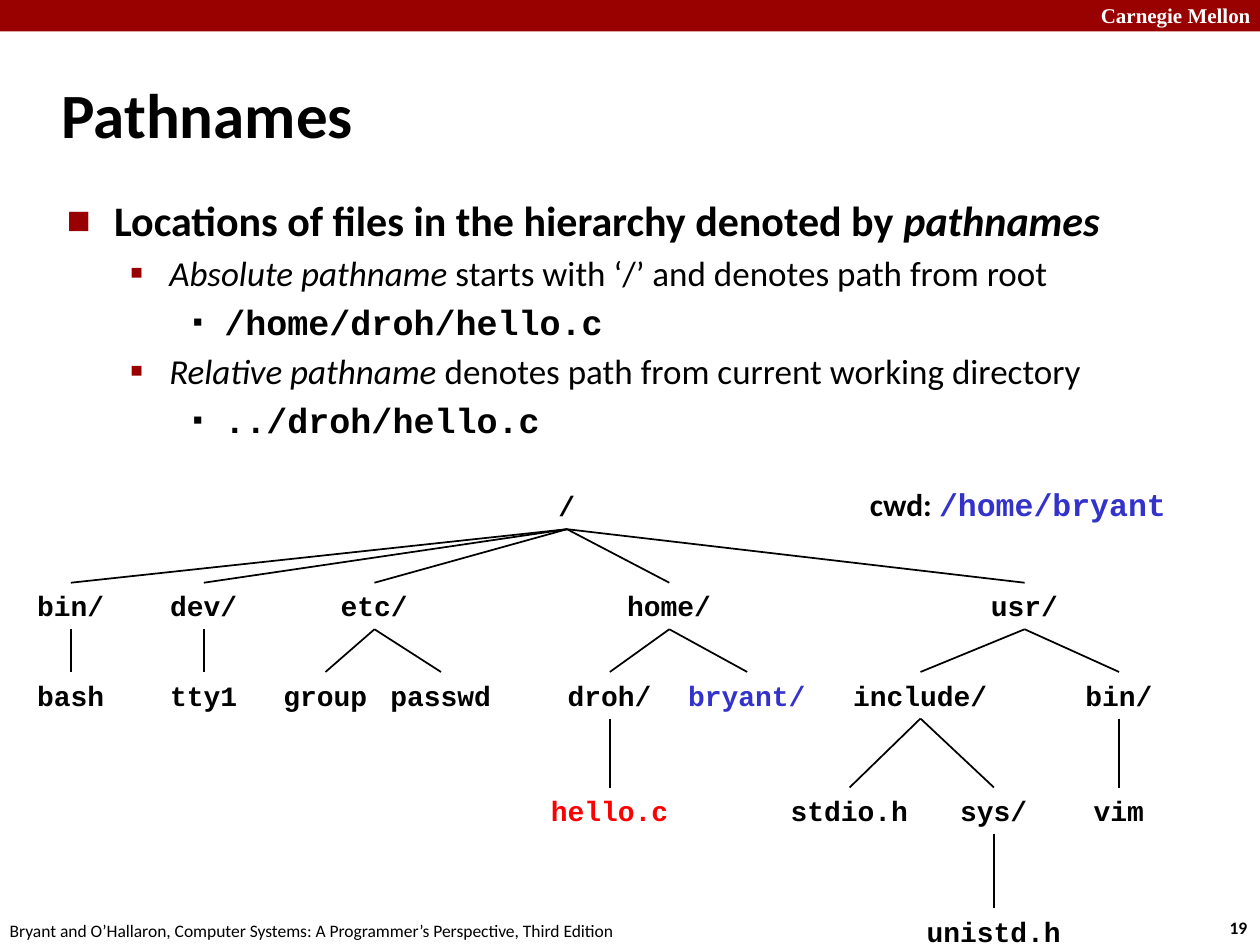
import pptx
import pptx.util
import pptx.dml.color
import pptx.enum.shapes
import pptx.enum.text
import pptx.oxml.ns
import lxml.etree

Pt = pptx.util.Pt
qn = pptx.oxml.ns.qn


def format_run(run, size, font, colour, bold=False, italic=False):
    run.font.size = Pt(size)
    run.font.name = font
    run.font.bold = bold
    run.font.italic = italic
    run.font.color.rgb = pptx.dml.color.RGBColor.from_string(colour)


def add_label(left, top, width, height, size, runs, bold=True):
    box = slide.shapes.add_textbox(Pt(left), Pt(top), Pt(width), Pt(height))
    box.text_frame.word_wrap = False
    for text, font, colour in runs:
        run = box.text_frame.paragraphs[0].add_run()
        run.text = text
        format_run(run, size, font, colour, bold)
    return box


presentation = pptx.Presentation()
presentation.slide_width = Pt(720)
presentation.slide_height = Pt(540)
slide = presentation.slides.add_slide(presentation.slide_layouts[1])

RED, BLUE, BLACK = "990000", "3333CC", "000000"
SANS, MONO = "Calibri", "Courier New"

bar = slide.shapes.add_shape(pptx.enum.shapes.MSO_SHAPE.RECTANGLE, 0, 0, Pt(720), Pt(18))
bar.shadow.inherit = False
bar.fill.solid()
bar.fill.fore_color.rgb = pptx.dml.color.RGBColor.from_string(RED)
bar.line.fill.background()

add_label(622, -2, 103, 21.6, 12, [("Carnegie Mellon", "Times New Roman", "FFFFFF")])
add_label(695.5, 520.5, 26.5, 19.5, 10, [("19", SANS, BLACK)])
footer = "Bryant and O’Hallaron, Computer Systems: A Programmer’s Perspective, Third Edition"
add_label(-1.5, 522, 366, 19.5, 10, [(footer, SANS, BLACK)], bold=False)

title = slide.shapes.title
title.left, title.top, title.width, title.height = Pt(28), Pt(34.5), Pt(598), Pt(60)
title.text_frame.text = "Pathnames"
title.text_frame.vertical_anchor = pptx.enum.text.MSO_ANCHOR.MIDDLE
title.text_frame.paragraphs[0].alignment = pptx.enum.text.PP_ALIGN.LEFT
format_run(title.text_frame.paragraphs[0].runs[0], 36, SANS, BLACK, bold=True)

levels = [
    (27, 27, "■", RED, 60, 24),
    (58.5, 22.5, "▪", RED, 110, 20),
    (90, 18, "▪", BLACK, 80, 20),
]
body_lines = [
    (0, [("Locations of files in the hierarchy denoted by ", SANS, True, False),
         ("pathnames", SANS, True, True)]),
    (1, [("Absolute pathname ", SANS, False, True),
         ("starts with ‘/’ and denotes path from root", SANS, False, False)]),
    (2, [("/home/droh/hello.c", MONO, True, False)]),
    (1, [("Relative pathname ", SANS, False, True),
         ("denotes path from current working directory", SANS, False, False)]),
    (2, [("../droh/hello.c", MONO, True, False)]),
]
body = slide.placeholders[1]
body.left, body.top, body.width, body.height = Pt(31), Pt(107.5), Pt(671), Pt(150.5)
body.text_frame.auto_size = pptx.enum.text.MSO_AUTO_SIZE.NONE
for index, (level, runs) in enumerate(body_lines):
    margin, hanging, bullet, bullet_colour, percent, size = levels[level]
    paragraph = body.text_frame.add_paragraph() if index else body.text_frame.paragraphs[0]
    paragraph.level = level
    properties = paragraph._p.get_or_add_pPr()
    properties.set("marL", str(Pt(margin)))
    properties.set("indent", str(-Pt(hanging)))
    colour_element = lxml.etree.SubElement(properties, qn("a:buClr"))
    lxml.etree.SubElement(colour_element, qn("a:srgbClr"), val=bullet_colour)
    lxml.etree.SubElement(properties, qn("a:buSzPct"), val=str(percent * 1000))
    lxml.etree.SubElement(properties, qn("a:buFont"), typeface=SANS)
    lxml.etree.SubElement(properties, qn("a:buChar"), char=bullet)
    paragraph.space_before = Pt(size * 0.2 if index else 0)
    for text, font, bold, italic in runs:
        run = paragraph.add_run()
        run.text = text
        format_run(run, size, font, BLACK, bold, italic)

depth_tops = [275.8, 333, 384, 450, 519]
node_centres = {
    "/": 324,
    "/bin/": 40.5,
    "/dev/": 116.5,
    "/etc/": 214,
    "/home/": 382.5,
    "/usr/": 585.5,
    "/bin/bash": 40.5,
    "/dev/tty1": 116.5,
    "/etc/group": 186,
    "/etc/passwd": 252,
    "/home/droh/": 348.5,
    "/home/bryant/": 427,
    "/usr/include/": 526,
    "/usr/bin/": 639.5,
    "/home/droh/hello.c": 348.5,
    "/usr/include/stdio.h": 485.5,
    "/usr/include/sys/": 568,
    "/usr/bin/vim": 639.5,
    "/usr/include/sys/unistd.h": 568,
}
node_colours = {"/home/bryant/": BLUE, "/home/droh/hello.c": "FF0000"}
nodes = {}
for pathname, centre in node_centres.items():
    trimmed = pathname.rstrip("/")
    parent = pathname[:trimmed.rfind("/") + 1]
    name = pathname[len(parent):]
    width = len(name) * 9.6 + 14.4
    node = add_label(centre - width / 2, depth_tops[trimmed.count("/")], width, 26.6, 16,
                     [(name, MONO, node_colours.get(pathname, BLACK))])
    nodes[pathname] = node
    if parent:
        branch = slide.shapes.add_connector(pptx.enum.shapes.MSO_CONNECTOR.STRAIGHT, 0, 0, 0, 0)
        branch.begin_connect(nodes[parent], 2)
        branch.end_connect(node, 0)
        branch.line.width = Pt(1)
        branch.line.color.rgb = pptx.dml.color.RGBColor.from_string(BLACK)
        lxml.etree.SubElement(branch._element.spPr, qn("a:effectLst"))

add_label(490, 273.5, 192, 29, 18, [("cwd: ", SANS, BLACK), ("/home/bryant", MONO, BLUE)])

presentation.save("out.pptx")
